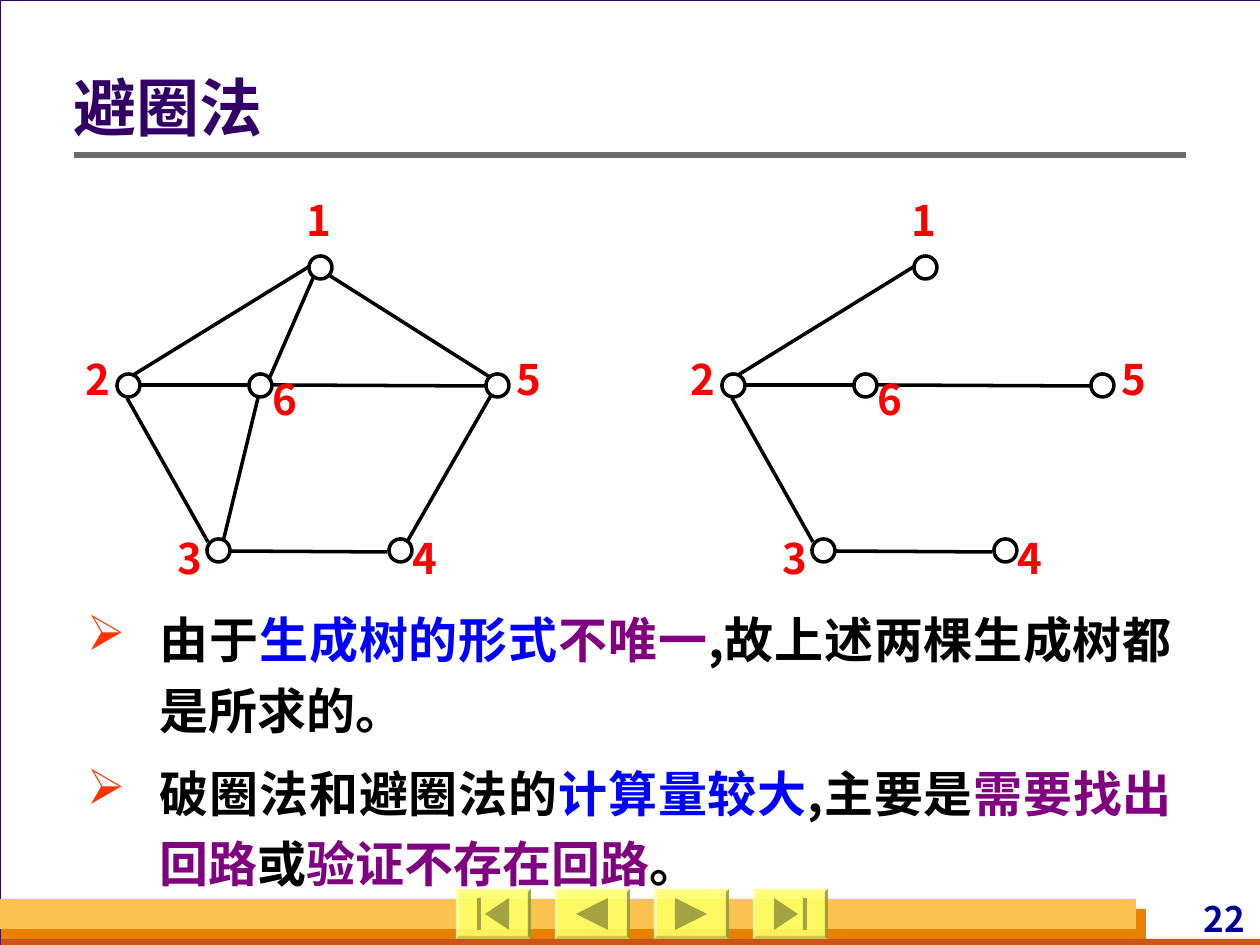
from lxml.etree import SubElement
from pptx import Presentation
from pptx.dml.color import RGBColor
from pptx.enum.shapes import MSO_CONNECTOR, MSO_SHAPE
from pptx.enum.text import MSO_ANCHOR, PP_ALIGN
from pptx.oxml.ns import qn
from pptx.util import Pt

SCALE = 914400 // 126
FONT = "Noto Sans CJK SC"
BLACK, BLUE, PURPLE, RED = "000000", "0000FF", "800080", "FF0000"

BARS = [
    ((0, 0, 1261, 945), "FFFFFF", "330066"),
    ((1, 909, 1145, 36), "E88000", None),
    ((1, 939, 1260, 10), "C95616", None),
    ((0, 899, 1136, 30), "FCC24F", None),
]
TITLE = [[("避圈法", "330066")]]
PAGE_NUMBER = [[("22", "000099")]]
BULLETS = [
    [("由于", BLACK), ("生成树的形式", BLUE), ("不唯一", PURPLE),
     (",故上述两棵生成树都是所求的。".replace(",", ","), BLACK)],
    [("破圈法和避圈法的", BLACK), ("计算量较大", BLUE), (",主要是", BLACK),
     ("需要找出回路", PURPLE), ("或", BLACK), ("验证不存在回路", PURPLE), ("。", BLACK)],
]
NODES = {
    "1": ((309, 256), (297, 195)),
    "2": ((117, 374), (76, 354)),
    "3": ((207, 539), (168, 533)),
    "4": ((389, 539), (403, 533)),
    "5": ((486, 374), (507, 354)),
    "6": ((249, 374), (263, 374)),
}
EDGES = {
    "16": (314, 276, 270, 377),
    "65": (272, 385, 486, 386),
    "63": (258, 398, 223, 542),
    "26": (139, 385, 251, 385),
    "12": (310, 266, 130, 377),
    "54": (493, 392, 407, 542),
    "34": (227, 551, 387, 552),
    "15": (324, 272, 493, 379),
    "23": (127, 398, 208, 542),
}
GRAPHS = [(0, list(EDGES)), (605, ["65", "26", "12", "34", "23"])]
BUTTON_LEFT, BUTTON_TOP, BUTTON_STEP = 456, 889, 99
BUTTON_WIDTH, BUTTON_HEIGHT = 75, 50
BUTTON_ICONS = [
    [[(29, 25), (53, 9), (53, 41)], [(21, 9), (25, 9), (25, 41), (21, 41)]],
    [[(21, 25), (53, 9), (53, 41)]],
    [[(21, 9), (53, 25), (21, 41)]],
    [[(45, 25), (21, 9), (21, 41)], [(50, 9), (54, 9), (54, 41), (50, 41)]],
]


def color(value):
    return RGBColor.from_string(value)


def emu(*values):
    return [value * SCALE for value in values]


def set_style(shape, fill, line=None, width=0.75):
    shape.shadow.inherit = False
    shape.fill.solid()
    shape.fill.fore_color.rgb = color(fill)
    if line:
        shape.line.color.rgb = color(line)
        shape.line.width = Pt(width)
    else:
        shape.line.fill.background()


def add_preset(kind, box, fill, line=None, width=0.75):
    shape = slide.shapes.add_shape(kind, *emu(*box))
    set_style(shape, fill, line, width)
    return shape


def add_line(points, line, width):
    connector = slide.shapes.add_connector(MSO_CONNECTOR.STRAIGHT, *emu(*points))
    connector.line.color.rgb = color(line)
    connector.line.width = Pt(width)
    SubElement(connector.element.spPr, qn("a:effectLst"))


def add_text(box, paragraphs, size, insets, anchor=MSO_ANCHOR.TOP, **formats):
    shape = slide.shapes.add_textbox(*emu(*box))
    frame = shape.text_frame
    frame.word_wrap = True
    frame.vertical_anchor = anchor
    for side, inset in zip(("left", "top", "right", "bottom"), insets):
        setattr(frame, f"margin_{side}", inset * SCALE)
    for index, runs in enumerate(paragraphs):
        paragraph = frame.add_paragraph() if index else frame.paragraphs[0]
        for name, value in formats.items():
            setattr(paragraph, name, value)
        for text, shade in runs:
            run = paragraph.add_run()
            run.text = text
            values = {"size": Pt(size), "bold": True, "name": FONT}
            for name, value in values.items():
                setattr(run.font, name, value)
            run.font.color.rgb = color(shade)
            SubElement(run.font._element, qn("a:ea"), typeface=FONT)
    return frame


def add_bullet(paragraph):
    properties = paragraph._p.get_or_add_pPr()
    properties.set("marL", str(73 * SCALE))
    properties.set("indent", str(-73 * SCALE))
    bullet_color = SubElement(properties, qn("a:buClr"))
    SubElement(bullet_color, qn("a:srgbClr"), val="FF3300")
    SubElement(properties, qn("a:buChar"), char="➢")


def add_button(left, icon):
    box = (left, BUTTON_TOP, BUTTON_WIDTH, BUTTON_HEIGHT)
    button = add_preset(MSO_SHAPE.BEVEL, box, "FFFF66")
    button.adjustments[0] = 0.06
    shade = button.element.spPr.find(qn("a:solidFill"))[0]
    SubElement(shade, qn("a:alpha"), val="90000")
    builder = None
    for outline in icon:
        points = [(left + x, BUTTON_TOP + y) for x, y in outline]
        if builder is None:
            builder = slide.shapes.build_freeform(*points[0], scale=SCALE)
        else:
            builder.move_to(*points[0])
        builder.add_line_segments(points[1:], close=True)
    set_style(builder.convert_to_shape(), "A3A341")


def add_graph(offset, edges):
    for edge in edges:
        x1, y1, x2, y2 = EDGES[edge]
        add_line((x1 + offset, y1, x2 + offset, y2), BLACK, 2)
    for label, ((x, y), (label_x, label_y)) in NODES.items():
        add_preset(MSO_SHAPE.OVAL, (x + offset, y, 23, 23), "FFFFFF", BLACK, 2)
        add_text((label_x + offset, label_y, 44, 50), [[(label, RED)]], 24,
                 (0, 0, 0, 0), alignment=PP_ALIGN.CENTER)


presentation = Presentation()
presentation.slide_width, presentation.slide_height = emu(1260, 945)
slide = presentation.slides.add_slide(presentation.slide_layouts[6])
slide.background.fill.solid()
slide.background.fill.fore_color.rgb = color("D8DADA")

for box, fill, line in BARS:
    add_preset(MSO_SHAPE.RECTANGLE, box, fill, line)
add_text((1116, 897, 134, 42), PAGE_NUMBER, 20, (5, 0, 5, 0),
         alignment=PP_ALIGN.RIGHT, space_before=Pt(12.5))
add_line((74, 155, 1186, 155), "6B6B6B", 3)
for index, icon in enumerate(BUTTON_ICONS):
    add_button(BUTTON_LEFT + index * BUTTON_STEP, icon)
add_text((74, 48, 1111, 127), TITLE, 36, (0, 6, 13, 6), MSO_ANCHOR.MIDDLE,
         line_spacing=0.9)
body = add_text((74, 592, 1111, 307), BULLETS, 28, (13, 6, 13, 6),
                alignment=PP_ALIGN.JUSTIFY, line_spacing=1.2, space_before=Pt(7))
for paragraph in body.paragraphs:
    add_bullet(paragraph)
for offset, edges in GRAPHS:
    add_graph(offset, edges)

presentation.save("out.pptx")
